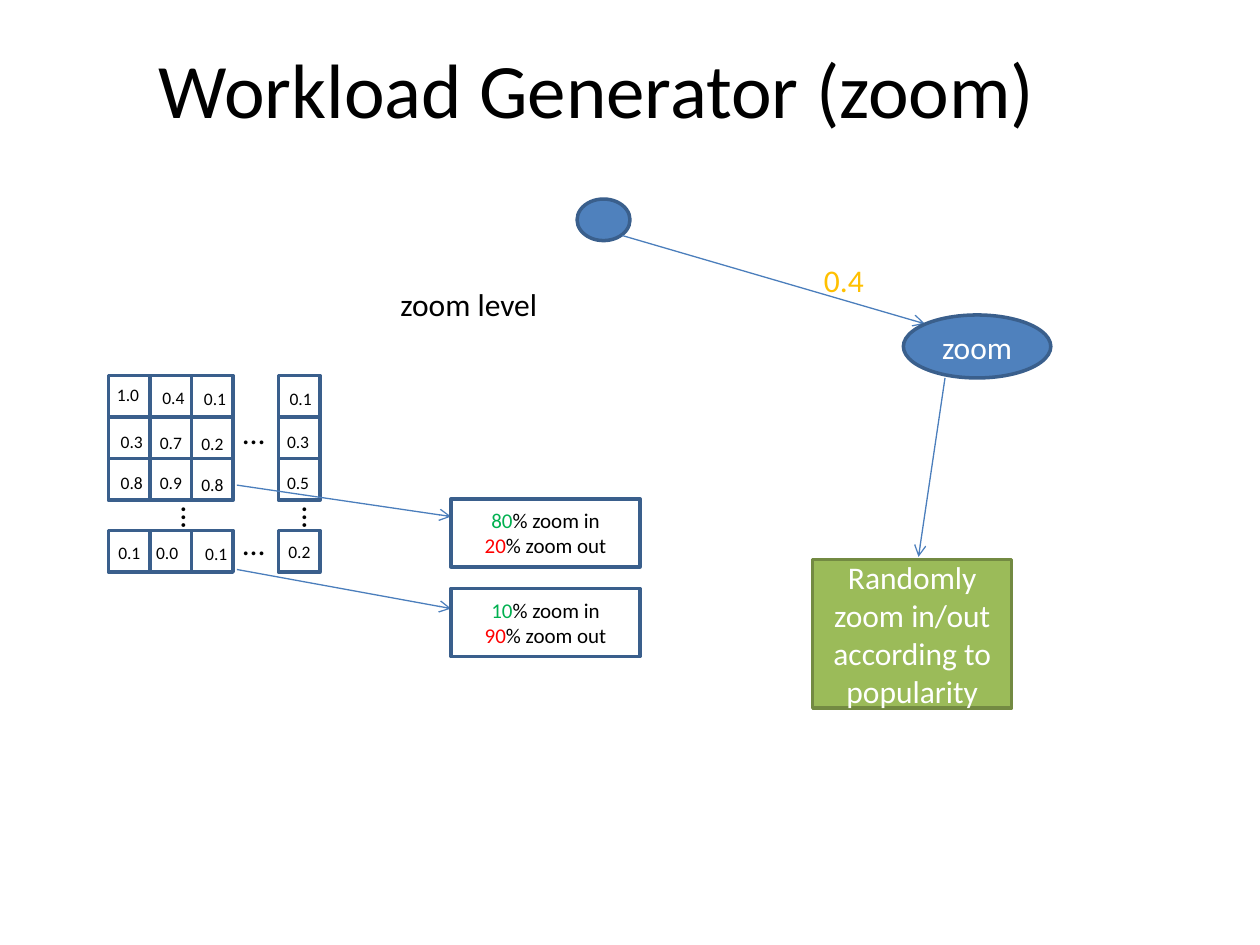
from lxml import etree
from pptx import Presentation
from pptx.dml.color import RGBColor
from pptx.enum.shapes import MSO_CONNECTOR, MSO_SHAPE
from pptx.enum.text import MSO_ANCHOR, PP_ALIGN
from pptx.oxml.ns import qn
from pptx.util import Inches, Pt

RECT, OVAL = MSO_SHAPE.RECTANGLE, MSO_SHAPE.OVAL
STRAIGHT = MSO_CONNECTOR.STRAIGHT
CENTER, LEFT = PP_ALIGN.CENTER, PP_ALIGN.LEFT
MIDDLE, TOP = MSO_ANCHOR.MIDDLE, MSO_ANCHOR.TOP

BLACK = RGBColor(0x00, 0x00, 0x00)
WHITE = RGBColor(0xFF, 0xFF, 0xFF)
BLUE = RGBColor(0x4F, 0x81, 0xBD)
BLUE_EDGE = RGBColor(0x3A, 0x5F, 0x8C)
ARROW_BLUE = RGBColor(0x4B, 0x7E, 0xBC)
OLIVE = RGBColor(0x9B, 0xBB, 0x59)
OLIVE_EDGE = RGBColor(0x73, 0x8A, 0x42)
AMBER = RGBColor(0xFF, 0xC0, 0x00)
GREEN = RGBColor(0x00, 0xB0, 0x50)
RED = RGBColor(0xFF, 0x00, 0x00)

# Popularity grid: origin and cell in inches, columns and rows in cells
GRID_X, GRID_Y, CELL = 0.86, 2.98, 0.33
COLS = (0, 1, 2, 4.09)
ROWS = (0, 1, 2, 3.73)
# Each value with its label's offset from the cell corner, in inches
VALUES = (
    (("1.0", -0.03, 0.02), ("0.4", 0, 0.04), ("0.1", 0, 0.05), ("0.1", -0.01, 0.05)),
    (("0.3", 0, 0.06), ("0.7", -0.02, 0.07), ("0.2", -0.02, 0.08), ("0.3", -0.03, 0.06)),
    (("0.8", 0, 0.06), ("0.9", -0.02, 0.06), ("0.8", -0.02, 0.07), ("0.5", -0.03, 0.06)),
    (("0.1", -0.02, 0.04), ("0.0", -0.05, 0.04), ("0.1", 0.01, 0.05), ("0.2", -0.02, 0.03)),
)


def style_run(r, size, color):
    r.font.name = "Calibri"
    r.font.size = Pt(size)
    r.font.color.rgb = color


def add_label(slide, text, at, size=18, color=BLACK, align=LEFT,
              anchor=TOP, wrap=False, rotation=0):
    sp = slide.shapes.add_textbox(*map(Inches, at))
    sp.rotation = rotation
    tf = sp.text_frame
    tf.word_wrap = wrap
    tf.vertical_anchor = anchor
    p = tf.paragraphs[0]
    p.text = text
    p.alignment = align
    style_run(p.runs[0], size, color)


def add_box(slide, kind, at, fill=None, edge=BLUE_EDGE, lines=(), size=18):
    """Outlined shape; lines holds paragraphs of (text, color) runs."""
    sp = slide.shapes.add_shape(kind, *map(Inches, at))
    sp.shadow.inherit = False
    if fill is None:
        sp.fill.background()
    else:
        sp.fill.solid()
        sp.fill.fore_color.rgb = fill
    sp.line.color.rgb = edge
    sp.line.width = Pt(2)
    tf = sp.text_frame
    tf.word_wrap = True
    tf.vertical_anchor = MIDDLE
    for i, line in enumerate(lines):
        p = tf.add_paragraph() if i else tf.paragraphs[0]
        p.alignment = CENTER
        for text, color in line:
            r = p.add_run()
            r.text = text
            style_run(r, size, color)


def add_arrow(slide, *ends):
    cn = slide.shapes.add_connector(STRAIGHT, *map(Inches, ends))
    cn.line.color.rgb = ARROW_BLUE
    cn.line.width = Pt(0.75)
    etree.SubElement(cn.line._get_or_add_ln(), qn("a:tailEnd"), type="arrow")
    etree.SubElement(cn._element.spPr, qn("a:effectLst"))


def add_grid(slide):
    for row, values in zip(ROWS, VALUES):
        for col, (value, dx, dy) in zip(COLS, values):
            x, y = GRID_X + col * CELL, GRID_Y + row * CELL
            add_box(slide, RECT, (x, y, CELL, CELL))
            add_label(slide, value, (x + dx, y + dy, 0.38, 0.27), size=10)
    # Dots for the columns and rows left out
    for y in (3.23, 4.11):
        add_label(slide, "…", (1.83, y, 0.38, 0.4))
    for x in (1.18, 2.14):
        add_label(slide, "…", (x, 3.9, 0.38, 0.4), rotation=270)


def add_odds(slide, top, zoom_in):
    lines = (((str(zoom_in), GREEN), ("% zoom in", BLACK)),
             ((str(100 - zoom_in), RED), ("% zoom out", BLACK)))
    add_box(slide, RECT, (3.58, top, 1.5, 0.54), lines=lines, size=12)


def main():
    prs = Presentation()
    prs.slide_width, prs.slide_height = Inches(10), Inches(7.5)
    slide = prs.slides.add_slide(prs.slide_layouts[6])

    add_label(slide, "Workload Generator (zoom)", (0.24, 0.07, 9, 1.25),
              size=44, align=CENTER, anchor=MIDDLE, wrap=True)

    # Popularity by zoom level
    add_grid(slide)
    add_label(slide, "zoom level", (3.08, 2.21, 1.3, 0.4))
    add_arrow(slide, 1.88, 3.85, 3.58, 4.1)
    add_arrow(slide, 1.88, 4.52, 3.58, 4.83)
    add_odds(slide, 3.96, 80)
    add_odds(slide, 4.67, 10)

    # Decision path
    add_box(slide, OVAL, (4.58, 1.58, 0.42, 0.33), BLUE)
    add_arrow(slide, 4.94, 1.87, 7.34, 2.57)
    add_label(slide, "0.4", (6.44, 2.02, 0.52, 0.4), color=AMBER)
    add_box(slide, OVAL, (7.17, 2.5, 1.17, 0.5), BLUE,
            lines=((("zoom", WHITE),),))
    add_arrow(slide, 7.5, 3, 7.29, 4.42)
    add_box(slide, RECT, (6.45, 4.44, 1.58, 1.18), OLIVE, OLIVE_EDGE,
            ((("Randomly zoom in/out according to popularity", WHITE),),))

    prs.save("out.pptx")


if __name__ == "__main__":
    main()
